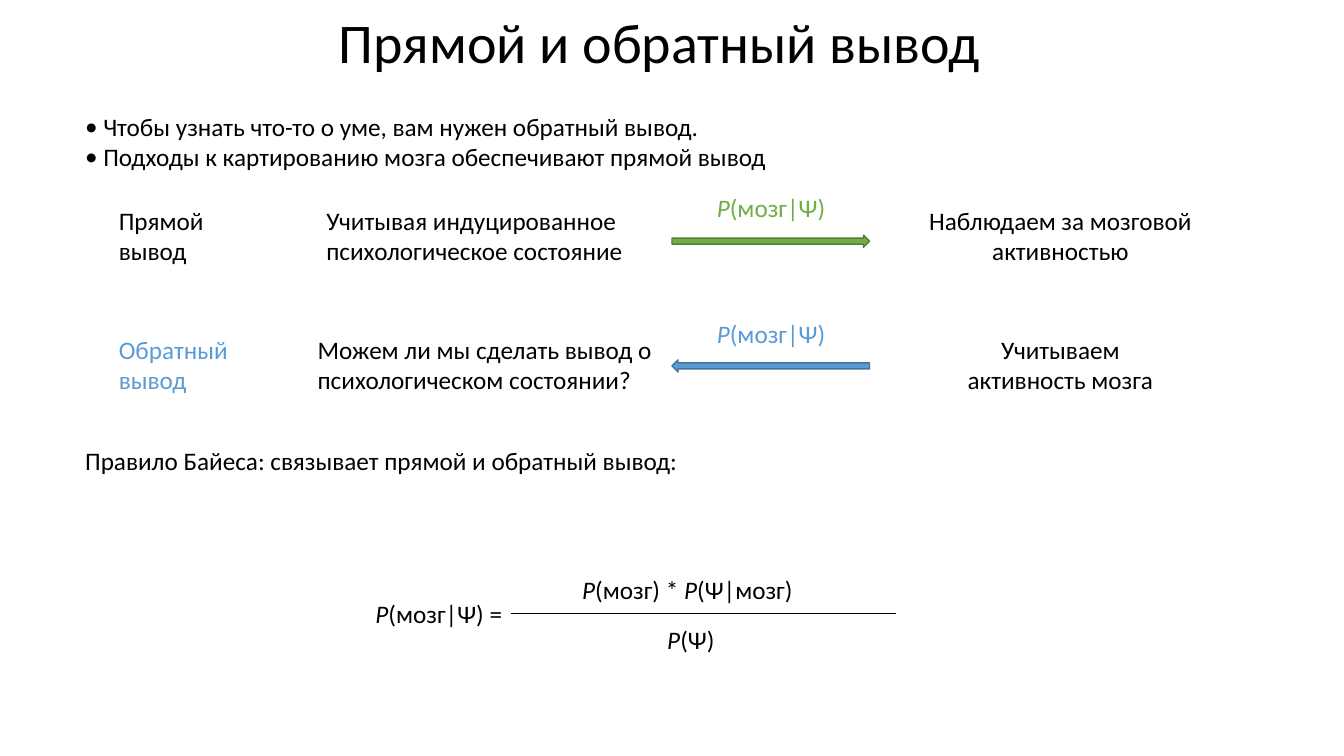
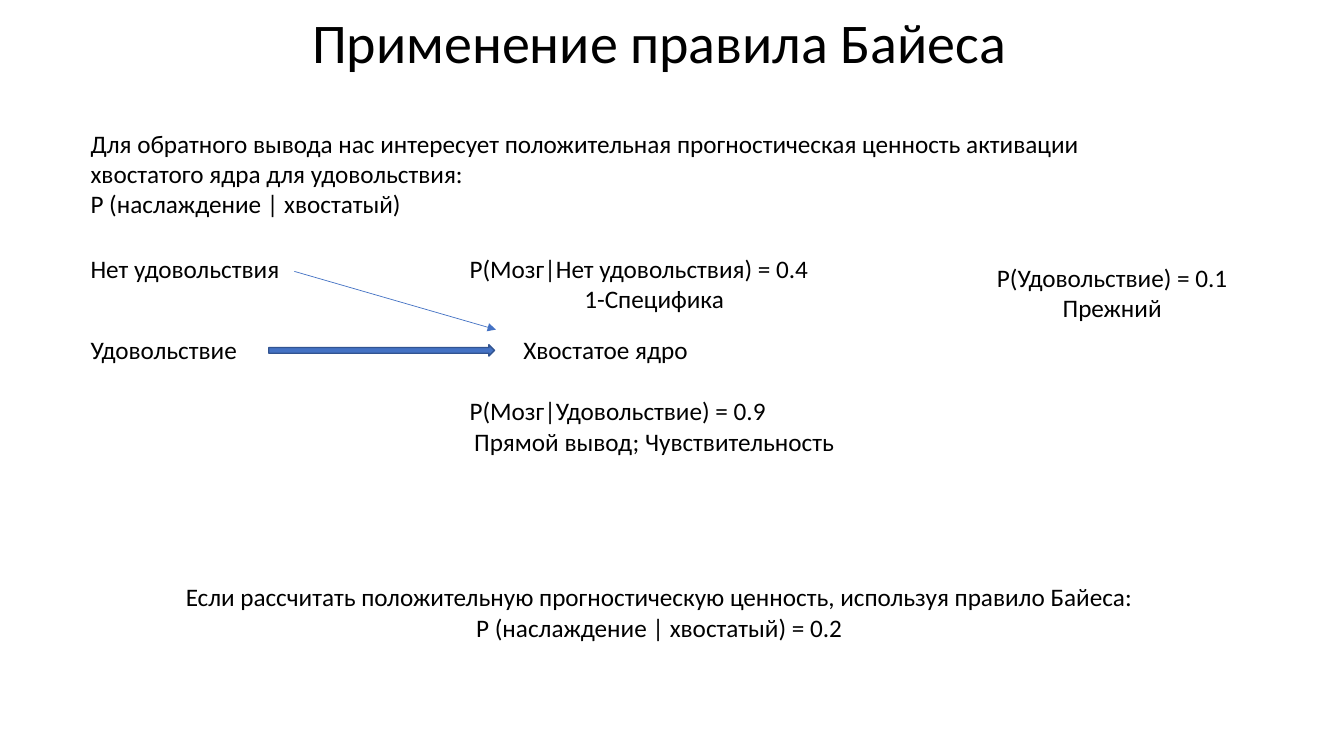
from dataclasses import dataclass
from typing import NamedTuple

from lxml.etree import SubElement
from pptx import Presentation
from pptx.dml.color import RGBColor as Rgb
from pptx.enum.shapes import MSO_CONNECTOR as Connector, MSO_SHAPE as Preset
from pptx.enum.text import MSO_ANCHOR as Anchor, PP_ALIGN as Align
from pptx.oxml.ns import qn
from pptx.slide import Slide
from pptx.util import Inches, Pt

SLIDE_W, SLIDE_H = Inches(13.333), Inches(7.5)


class Tone(NamedTuple):
    fill: str
    edge: str


@dataclass(frozen=True)
class Theme:
    font: str = "Calibri"
    ink: str = "000000"
    forward: Tone = Tone("70AD47", "538035")
    inverse: Tone = Tone("5B9BD5", "43739E")
    effect: Tone = Tone("4472C4", "325491")
    title_size: int = 40
    body_size: int = 18
    thin: float = 0.5
    edge: float = 1
    hang: float = 0.18  # inches


THEME = Theme()
ONE_LINE, TWO_LINES, THREE_LINES = 5.4, 9.5, 13.5  # box heights, % of the slide


class Place(NamedTuple):
    """A box in percent of the slide's width and height."""
    left: float
    top: float
    width: float
    height: float = ONE_LINE


class Inference(NamedTuple):
    """One row of the diagram: label, premise, arrow, observation."""
    label: str
    label_color: str
    premise: str
    premise_left: float
    observed: str
    observed_width: float
    tone: Tone
    arrow: Preset
    top: float
    formula_top: float
    arrow_top: float


class Note(NamedTuple):
    """Text with the alignment of its first line and of the rest."""
    place: Place
    lines: tuple[str, ...]
    first: Align = Align.LEFT
    rest: Align = Align.LEFT


def across(share: float) -> int:
    return round(SLIDE_W * share / 100)


def down(share: float) -> int:
    return round(SLIDE_H * share / 100)


def box(place: Place) -> tuple[int, int, int, int]:
    return across(place.left), down(place.top), across(place.width), down(place.height)


def write(slide: Slide, place: Place, *lines: str, size: int = THEME.body_size,
          color: str = THEME.ink, first: Align = Align.LEFT, rest: Align | None = None,
          anchor: Anchor = Anchor.TOP, spacing: float = 1.0,
          bullets: bool = False, italic: str = "") -> None:
    """Add text; every occurrence of the symbol `italic` is slanted."""
    frame = slide.shapes.add_textbox(*box(place)).text_frame
    frame.word_wrap = True
    frame.vertical_anchor = anchor
    for number, line in enumerate(lines):
        paragraph = frame.add_paragraph() if number else frame.paragraphs[0]
        paragraph.alignment = first if number == 0 or rest is None else rest
        paragraph.line_spacing = spacing
        if bullets:
            add_bullet(paragraph)
        pieces = line.split(italic) if italic else [line]
        for index, piece in enumerate(pieces):
            runs = ([(italic, True)] if index else []) + [(piece, False)]
            for words, slanted in runs:
                if not words:
                    continue
                run = paragraph.add_run()
                run.text = words
                run.font.name = THEME.font
                run.font.size = Pt(size)
                run.font.italic = slanted
                run.font.color.rgb = Rgb.from_string(color)


def add_bullet(paragraph) -> None:
    props = paragraph._p.get_or_add_pPr()
    props.set("marL", str(Inches(THEME.hang)))
    props.set("indent", str(-Inches(THEME.hang)))
    SubElement(props, qn("a:buFont")).set("typeface", THEME.font)
    SubElement(props, qn("a:buChar")).set("char", "•")


def block_arrow(slide: Slide, place: Place, preset: Preset, tone: Tone) -> None:
    arrow = slide.shapes.add_shape(preset, *box(place))
    arrow.shadow.inherit = False
    arrow.fill.solid()
    arrow.fill.fore_color.rgb = Rgb.from_string(tone.fill)
    arrow.line.color.rgb = Rgb.from_string(tone.edge)
    arrow.line.width = Pt(THEME.edge)


def thin_line(slide: Slide, start: tuple[float, float], end: tuple[float, float],
              color: str, arrowhead: bool = False) -> None:
    line = slide.shapes.add_connector(Connector.STRAIGHT, across(start[0]), down(start[1]),
                                      across(end[0]), down(end[1]))
    line.line.color.rgb = Rgb.from_string(color)
    line.line.width = Pt(THEME.thin)
    if arrowhead:
        SubElement(line.line._get_or_add_ln(), qn("a:tailEnd")).set("type", "triangle")
    SubElement(line._element.spPr, qn("a:effectLst"))


def titled_slide(deck, title: str) -> Slide:
    slide = deck.slides.add_slide(deck.slide_layouts[6])
    write(slide, Place(0, 1.5, 98.1, 8.9), title, size=THEME.title_size,
          first=Align.CENTER, anchor=Anchor.MIDDLE, spacing=0.9)
    return slide


def inference_row(slide: Slide, row: Inference) -> None:
    write(slide, Place(8.1, row.top, 9.6, TWO_LINES), row.label, color=row.label_color)
    write(slide, Place(row.premise_left, row.top, 27.1, TWO_LINES), row.premise)
    block_arrow(slide, Place(50, row.arrow_top, 14.7, 1.6), row.arrow, row.tone)
    write(slide, Place(52.6, row.formula_top, 9.6), "P(мозг|Ψ)",
          color=row.tone.fill, italic="P")
    center = 78.9
    write(slide, Place(center - row.observed_width / 2, row.top, row.observed_width, TWO_LINES),
          row.observed, first=Align.CENTER)


def inference_slide(deck) -> None:
    slide = titled_slide(deck, "Прямой и обратный вывод")
    write(slide, Place(5.6, 14.1, 91.2, TWO_LINES),
          "Чтобы узнать что-то о уме, вам нужен обратный вывод.",
          "Подходы к картированию мозга обеспечивают прямой вывод", bullets=True)

    # Forward and inverse inference
    rows = (
        Inference("Прямой вывод", THEME.ink,
                  "Учитывая индуцированное психологическое состояние", 23.55,
                  "Наблюдаем за мозговой активностью", 21.9,
                  THEME.forward, Preset.RIGHT_ARROW, 26.5, 24.8, 31.1),
        Inference("Обратный вывод", THEME.inverse.fill,
                  "Можем ли мы сделать вывод о психологическом состоянии?", 22.9,
                  "Учитываем активность мозга", 17.3,
                  THEME.inverse, Preset.LEFT_ARROW, 43.6, 41.5, 47.6),
    )
    for row in rows:
        inference_row(slide, row)

    # Bayes' rule as a fraction
    write(slide, Place(5.6, 58.3, 91.2), "Правило Байеса: связывает прямой и обратный вывод:")
    thin_line(slide, (38, 81.2), (66.7, 81.2), THEME.ink)
    write(slide, Place(26.7, 78.5, 11.4), "P(мозг|Ψ) =", first=Align.RIGHT, italic="P")
    write(slide, Place(37.8, 75.3, 26.7), "P(мозг) * P(Ψ|мозг)", first=Align.CENTER, italic="P")
    write(slide, Place(45.7, 81.9, 11.4), "P(Ψ)", first=Align.CENTER, italic="P")


def bayes_slide(deck) -> None:
    slide = titled_slide(deck, "Применение правила Байеса")
    left, formula_left, caudate_top = 6, 34.2, 43.6
    notes = (
        Note(Place(left, 16.3, 76.7, THREE_LINES),
             ("Для обратного вывода нас интересует положительная прогностическая ценность "
              "активации хвостатого ядра для удовольствия:", "P (наслаждение | хвостатый)")),
        # States and brain region
        Note(Place(left, 32.8, 19.4), ("Нет удовольствия",)),
        Note(Place(left, caudate_top, 12.9), ("Удовольствие",)),
        Note(Place(38.2, caudate_top, 15), ("Хвостатое ядро",)),
        # Probabilities
        Note(Place(formula_left, 32.8, 28.95, TWO_LINES),
             ("P(Мозг|Нет удовольствия) = 0.4", "1-Специфика"), rest=Align.CENTER),
        Note(Place(formula_left, 51.7, 28.95, TWO_LINES),
             ("P(Мозг|Удовольствие) = 0.9", "Прямой вывод; Чувствительность"), rest=Align.CENTER),
        Note(Place(73.3, 34, 18.9, TWO_LINES),
             ("P(Удовольствие) = 0.1", "Прежний"), Align.CENTER, Align.CENTER),
        # Conclusion
        Note(Place(12.2, 76.3, 73.7, TWO_LINES),
             ("Если рассчитать положительную прогностическую ценность, используя правило Байеса:",
              "P (наслаждение | хвостатый) = 0.2"), Align.CENTER, Align.CENTER),
    )
    for note in notes:
        write(slide, note.place, *note.lines, first=note.first, rest=note.rest)

    # Arrows to the caudate nucleus
    block_arrow(slide, Place(20, 45.6, 16.8, 1.5), Preset.RIGHT_ARROW, THEME.effect)
    thin_line(slide, (21.9, 35.9), (36.9, 43.6), THEME.effect.fill, arrowhead=True)


def main() -> None:
    deck = Presentation()
    deck.slide_width, deck.slide_height = SLIDE_W, SLIDE_H
    inference_slide(deck)
    bayes_slide(deck)
    deck.save("out.pptx")


if __name__ == "__main__":
    main()
